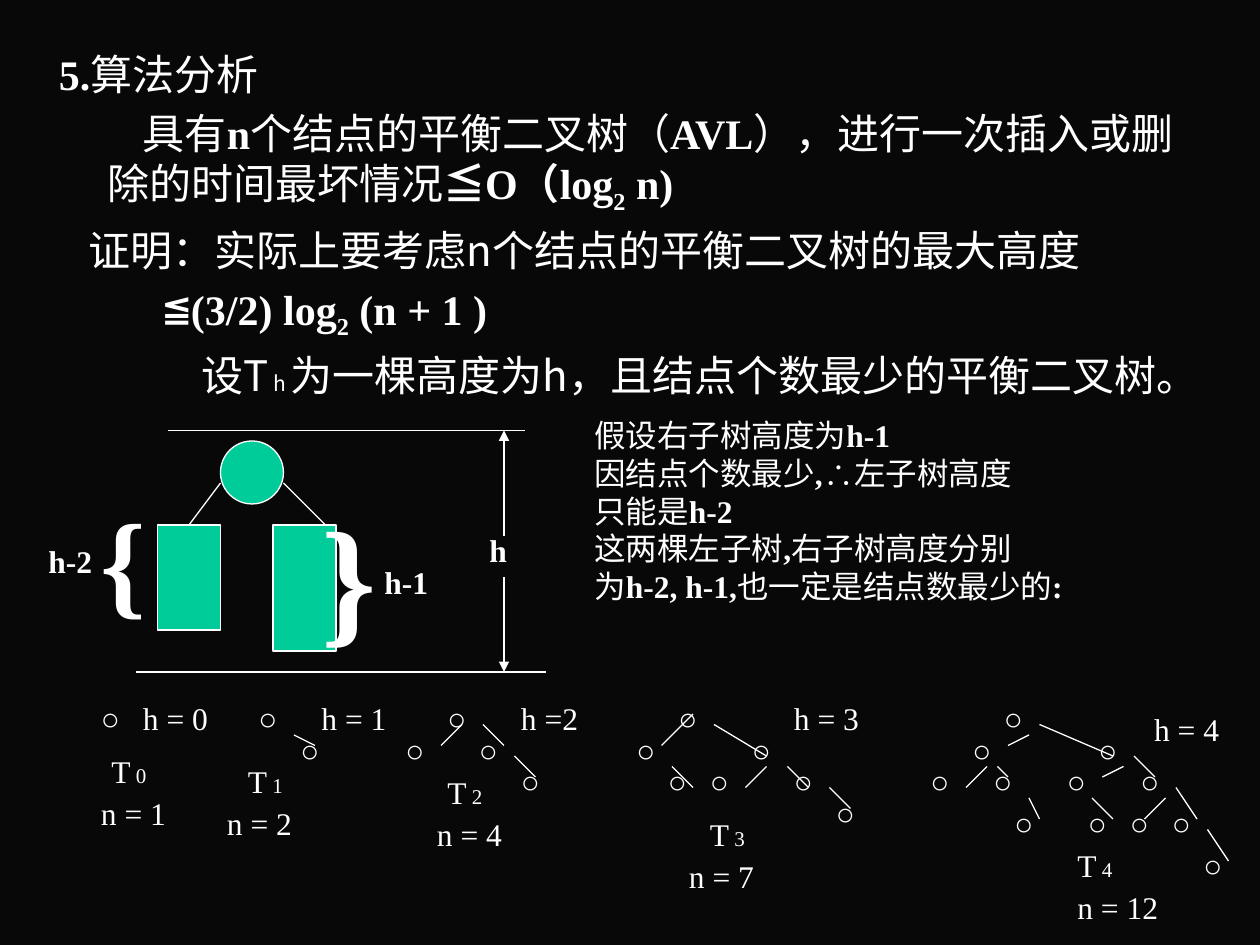
from dataclasses import dataclass

from lxml import etree
from pptx import Presentation
from pptx.dml.color import RGBColor
from pptx.enum.shapes import MSO_CONNECTOR, MSO_SHAPE
from pptx.enum.text import MSO_AUTO_SIZE
from pptx.oxml.ns import qn
from pptx.util import Cm, Pt

ELLIPSE = MSO_SHAPE.OVAL
RECTANGLE = MSO_SHAPE.RECTANGLE
STRAIGHT = MSO_CONNECTOR.STRAIGHT
FIT_SHAPE = MSO_AUTO_SIZE.SHAPE_TO_FIT_TEXT
FIT_NONE = MSO_AUTO_SIZE.NONE


@dataclass(frozen=True)
class Theme:
    background: RGBColor = RGBColor(0x08, 0x08, 0x08)
    ink: RGBColor = RGBColor(0xFF, 0xFF, 0xFF)
    node: RGBColor = RGBColor(0x00, 0xCC, 0x99)
    body: int = 24
    label: int = 18
    index: int = 12
    left_brace: int = 66
    right_brace: int = 80
    line: float = 0.75
    chinese: str = "Noto Sans CJK SC"
    serif: str = "Times New Roman"
    symbol: str = "Arial"


THEME = Theme()
CHINESE = {"name": THEME.chinese, "bold": False}
STRONG = {"name": THEME.serif, "bold": True}
STRONG_CHINESE = {"name": THEME.chinese, "bold": True}
PLAIN = {"name": THEME.serif}
SYMBOL = {"name": THEME.symbol}
SUBSCRIPT = {**STRONG, "baseline": -25000}
INDEX = {"size": Pt(THEME.index)}

BODY = [
    (-0.97, [("5.", STRONG), ("算法分析", CHINESE)]),
    (0.72, [
        ("具有", CHINESE), ("n", STRONG), ("个结点的平衡二叉树（", CHINESE),
        ("AVL", STRONG), ("），进行一次插入或删除的时间最坏情况", CHINESE),
        ("≦O", STRONG), ("（", STRONG_CHINESE), ("log", STRONG),
        ("2", SUBSCRIPT), (" n)", STRONG),
    ]),
    (-0.37, [("证明：实际上要考虑n个结点的平衡二叉树的最大高度", CHINESE)]),
    (1.12, [("≦(3/2) log", STRONG), ("2", SUBSCRIPT), (" (n + 1 )", STRONG)]),
    (1.9, [
        ("设T", CHINESE), (" h ", {**CHINESE, **INDEX}),
        ("为一棵高度为h，且结点个数最少的平衡二叉树。", CHINESE),
    ]),
]

PROOF = [
    [("假设右子树高度为", CHINESE), ("h-1", STRONG)],
    [("因结点个数最少", CHINESE), (",", STRONG), ("∴", SYMBOL), ("左子树高度", CHINESE)],
    [("只能是", CHINESE), ("h-2", STRONG)],
    [("这两棵左子树", CHINESE), (",", STRONG), ("右子树高度分别", CHINESE)],
    [("为", CHINESE), ("h-2, h-1,", STRONG), ("也一定是结点数最少的", CHINESE), (":", STRONG)],
]

TREES = [
    {"height": ("h = 0", 13, 66), "name": (10, 71), "count": ("n = 1", 9, 75),
     "nodes": [(9, 66)], "edges": []},
    {"height": ("h = 1", 30, 66), "name": (23, 72), "count": ("n = 2", 21, 76),
     "nodes": [(24, 66), (28, 69)], "edges": [(28, 70, 30, 71)]},
    {"height": ("h =2", 49, 66), "name": (42, 73), "count": ("n = 4", 41, 77),
     "nodes": [(42, 66), (45, 69), (38, 69), (49, 72)],
     "edges": [(44, 69, 42, 71), (46, 69, 48, 71), (49, 72, 51, 74)]},
    {"height": ("h = 3", 75, 66), "name": (67, 77), "count": ("n = 7", 65, 81),
     "nodes": [(64, 66), (60, 69), (71, 69), (63, 72), (67, 72), (75, 72), (79, 75)],
     "edges": [(66, 68, 63, 71), (64, 73, 66, 75), (68, 69, 73, 72),
               (73, 73, 71, 75), (75, 73, 77, 75), (79, 75, 81, 77)]},
    {"height": ("h = 4", 109.3, 67), "name": (102, 80), "count": ("n = 12", 102, 84),
     "nodes": [(95, 66), (92, 69), (88, 72), (94, 72), (96, 76), (101, 72),
               (104, 69), (108, 72), (111, 76), (103, 76), (107, 76), (114, 80)],
     "edges": [(98, 70, 96, 71), (94, 73, 92, 75), (99, 69, 106, 72),
               (108, 72, 110, 74), (112, 75, 114, 78), (115, 79, 117, 82),
               (95, 73, 96, 74), (98, 76, 99, 78), (107, 73, 105, 74),
               (104, 76, 106, 78), (111, 76, 109, 78)]},
]


def grid(*units):
    return [Cm(unit * 2.54 / 12) for unit in units]


def assign(target, values):
    for name, value in values.items():
        setattr(target, name, value)


class SlideBuilder:
    def __init__(self, slide, theme):
        self.slide = slide
        self.theme = theme
        self.canvas = slide.shapes
        slide.background.fill.solid()
        slide.background.fill.fore_color.rgb = theme.background

    def start_group(self):
        self.canvas = self.slide.shapes.add_group_shape().shapes

    def end_group(self):
        self.canvas = self.slide.shapes

    def add_runs(self, paragraph, runs, size):
        for text, style in runs:
            run = paragraph.add_run()
            run.text = text
            values = {"size": Pt(size), **style}
            baseline = values.pop("baseline", None)
            assign(run.font, values)
            run.font.color.rgb = self.theme.ink
            properties = run.font._element
            if baseline:
                properties.set("baseline", str(baseline))
            if values["name"] != self.theme.symbol:
                etree.SubElement(properties, qn("a:ea"), typeface=self.theme.chinese)

    def text(self, box, paragraphs, size, wrap=False, fit=FIT_SHAPE):
        frame = self.canvas.add_textbox(*grid(*box)).text_frame
        margins = dict.fromkeys(
            ("margin_left", "margin_right", "margin_top", "margin_bottom"), Cm(0.13))
        assign(frame, {**margins, "word_wrap": wrap, "auto_size": fit})
        for number, runs in enumerate(paragraphs):
            paragraph = frame.add_paragraph() if number else frame.paragraphs[0]
            self.add_runs(paragraph, runs, size)
        return frame

    def body(self, box, entries):
        frame = self.text(box, [runs for _, runs in entries], self.theme.body, True, FIT_NONE)
        for number, (indent, _) in enumerate(entries):
            paragraph = frame.paragraphs[number]
            properties = paragraph._p.get_or_add_pPr()
            for name, length in {"marL": 0.97, "marR": 0.6, "indent": indent}.items():
                properties.set(name, str(Cm(length)))
            paragraph.space_before = Pt(5 if number else 0)

    def label(self, text, left, top, width, style=PLAIN, height=4.5, size=None):
        self.text((left, top, width, height), [[(text, style)]], size or self.theme.label)

    def shape(self, kind, box):
        shape = self.canvas.add_shape(kind, *grid(*box))
        shape.shadow.inherit = False
        shape.fill.solid()
        shape.fill.fore_color.rgb = self.theme.node
        shape.line.color.rgb = self.theme.ink
        shape.line.width = Pt(self.theme.line)

    def line(self, ends, arrow=False):
        connector = self.canvas.add_connector(STRAIGHT, *grid(*ends))
        connector.line.color.rgb = self.theme.ink
        connector.line.width = Pt(self.theme.line)
        if arrow:
            etree.SubElement(connector.line._get_or_add_ln(), qn("a:tailEnd"), type="triangle")
        etree.SubElement(connector._element.spPr, qn("a:effectLst"))

    def height_diagram(self):
        self.start_group()
        self.label("h-2", 4, 51, 5.5, STRONG)
        self.shape(ELLIPSE, (21, 42, 6, 6))
        self.shape(RECTANGLE, (15, 50, 6, 10))
        self.shape(RECTANGLE, (26, 50, 6, 12))
        for ends in [(21, 46, 18, 50), (27, 46, 31, 50), (16, 41, 50, 41), (13, 64, 52, 64)]:
            self.line(ends)
        self.label("}", 30, 46, 6.6, STRONG, 15.8, self.theme.right_brace)
        self.label("h-1", 36, 53, 5.5, STRONG)
        self.label("{", 9, 46, 5.8, STRONG, 13.4, self.theme.left_brace)
        self.label("h", 46, 50, 3, STRONG)
        for ends in [(48, 51, 48, 41), (48, 55, 48, 64)]:
            self.line(ends, arrow=True)
        self.end_group()

    def tree(self, number, tree):
        self.start_group()
        for left, top in tree["nodes"]:
            self.label("○", left, top, 4.3, SYMBOL, 5.4)
        for ends in tree["edges"]:
            self.line(ends)
        for text, left, top in (tree["height"], tree["count"]):
            self.label(text, left, top, 2.5 + 1.1 * len(text))
        name = [("T", PLAIN), (f" {number}", {**PLAIN, **INDEX})]
        self.text((*tree["name"], 4.7, 4.5), [name], self.theme.label)
        self.end_group()


def main():
    presentation = Presentation()
    assign(presentation, {"slide_width": Cm(25.4), "slide_height": Cm(19.05)})
    slide = presentation.slides.add_slide(presentation.slide_layouts[6])
    builder = SlideBuilder(slide, THEME)
    builder.body((5, 4, 111, 77), BODY)
    builder.height_diagram()
    builder.text((56, 39, 46, 22.5), PROOF, THEME.label, wrap=True)
    for number, tree in enumerate(TREES):
        builder.tree(number, tree)
    presentation.save("out.pptx")


if __name__ == "__main__":
    main()
